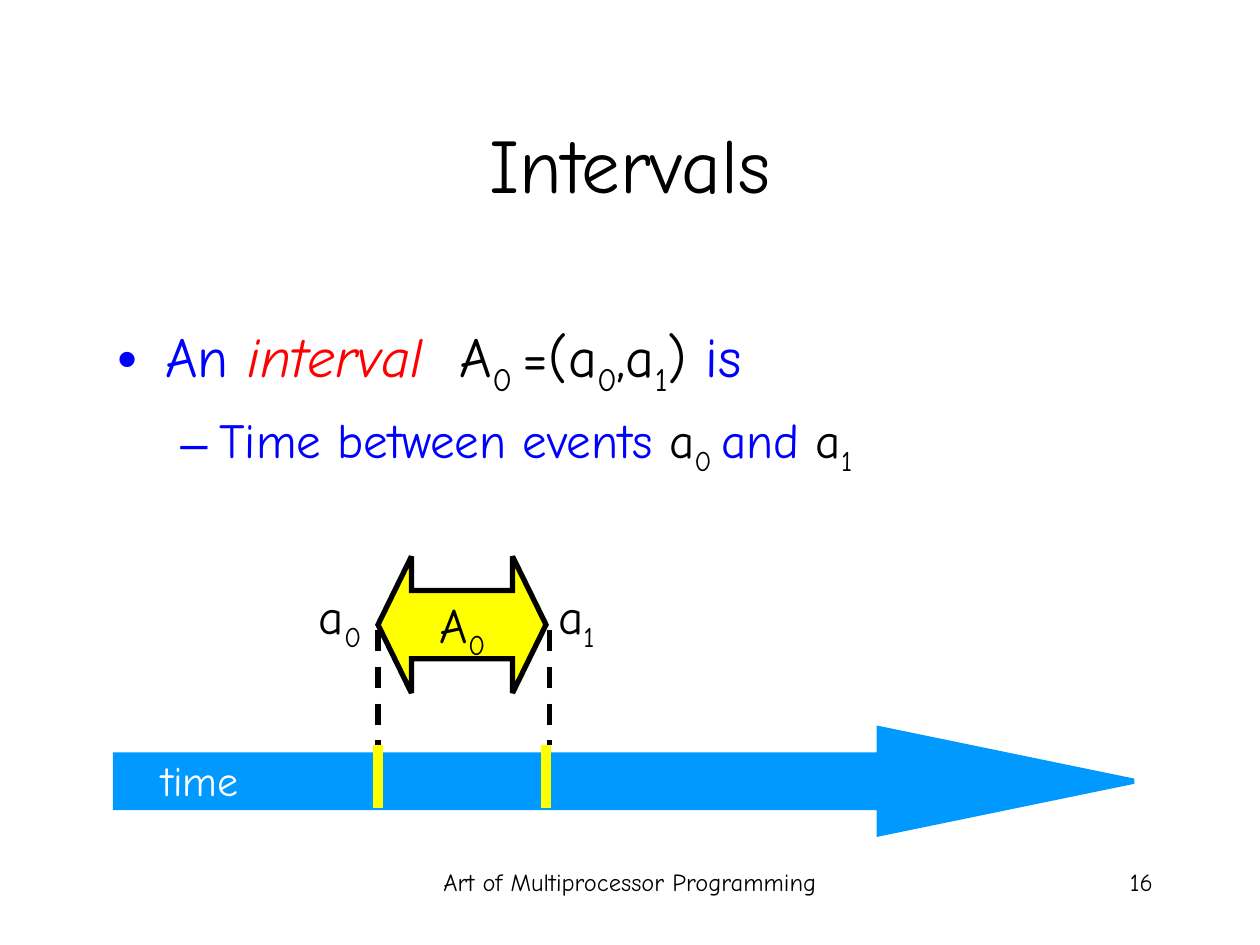
from collections import namedtuple

from lxml.etree import SubElement
from pptx import Presentation
from pptx.dml.color import RGBColor
from pptx.enum.dml import MSO_LINE
from pptx.enum.shapes import MSO_CONNECTOR as LINK, MSO_SHAPE as SHAPE
from pptx.enum.text import MSO_ANCHOR as ANCHOR, MSO_AUTO_SIZE as AUTO, PP_ALIGN as ALIGN
from pptx.oxml.ns import qn
from pptx.util import Inches, Pt

FONT = "Comic Neue"
BLACK, BLUE, RED = "000000", "0000FF", "FF0000"
YELLOW, SKY, WHITE = "FFFF00", "0099FF", "FFFFFF"
COLUMNS, ROWS = 120, 90

Box = namedtuple("Box", "left top width height")
Part = namedtuple("Part", "text color italic sub", defaults=(BLACK, False, False))


def rgb(color):
    return RGBColor.from_string(color)


def grid(*cells):
    steps = (Inches(10) / COLUMNS, Inches(7.5) / ROWS) * 2
    return [round(cell * step) for cell, step in zip(cells, steps)]


def write(paragraph, parts, size, align=ALIGN.LEFT):
    paragraph.alignment = align
    for part in parts:
        run = paragraph.add_run()
        run.text = part.text
        run.font.name, run.font.size = FONT, Pt(size)
        run.font.italic = part.italic
        run.font.color.rgb = rgb(part.color)
        if part.sub:
            run.font._element.set("baseline", "-25000")


def add_label(slide, box, parts, size, align=ALIGN.RIGHT, wrap=False):
    frame = slide.shapes.add_textbox(*grid(*box)).text_frame
    frame.word_wrap = wrap
    frame.auto_size = AUTO.NONE if wrap else AUTO.SHAPE_TO_FIT_TEXT
    write(frame.paragraphs[0], parts, size, align)


def add_arrow(slide, kind, box, adjustments, fill, line):
    arrow = slide.shapes.add_shape(kind, *grid(*box))
    arrow.shadow.inherit = False
    for index, value in enumerate(adjustments):
        arrow.adjustments[index] = value
    arrow.fill.solid()
    arrow.fill.fore_color.rgb = rgb(fill)
    arrow.line.color.rgb = rgb(line)
    arrow.line.width = Pt(3)
    outline = arrow._element.spPr.find(qn("a:ln"))
    SubElement(outline, qn("a:miter")).set("lim", "800000")


def add_vertical(slide, column, top, bottom, color, width, dash=None):
    line = slide.shapes.add_connector(LINK.STRAIGHT, *grid(column, top, column, bottom))
    line.line.color.rgb = rgb(color)
    line.line.width = Pt(width)
    if dash:
        line.line.dash_style = dash
    SubElement(line._element.spPr, qn("a:effectLst"))


def set_bullet(paragraph, char, margin, hang, before):
    paragraph.space_before = Pt(before)
    properties = paragraph._p.get_or_add_pPr()
    properties.set("marL", str(Inches(margin)))
    properties.set("indent", str(-Inches(hang)))
    color = SubElement(properties, qn("a:buClr"))
    SubElement(color, qn("a:srgbClr")).set("val", BLUE)
    SubElement(properties, qn("a:buFont")).set("typeface", "Arial")
    SubElement(properties, qn("a:buChar")).set("char", char)


def place_title(slide, box, text):
    title = slide.shapes.title
    title.left, title.top, title.width, title.height = grid(*box)
    title.text_frame.vertical_anchor = ANCHOR.MIDDLE
    write(title.text_frame.paragraphs[0], [Part(text)], 44, ALIGN.CENTER)


def place_definition(slide, box):
    frame = slide.shapes.add_textbox(*grid(*box)).text_frame
    frame.word_wrap = True
    definition = frame.paragraphs[0]
    write(definition, [
        Part("An ", BLUE), Part("interval  ", RED, italic=True),
        Part("A"), Part("0 ", sub=True), Part("=(a"), Part("0", sub=True),
        Part(",a"), Part("1", sub=True), Part(")"), Part(" is", BLUE),
    ], 32)
    set_bullet(definition, "•", 0.38, 0.38, 8)
    meaning = frame.add_paragraph()
    meaning.level = 1
    write(meaning, [
        Part("Time between events ", BLUE), Part("a"), Part("0 ", sub=True),
        Part("and ", BLUE), Part("a"), Part("1", sub=True),
    ], 28)
    set_bullet(meaning, "–", 0.81, 0.31, 7)


def place_timeline(slide, box):
    add_arrow(slide, SHAPE.RIGHT_ARROW, box, (0.5, 2.425), SKY, SKY)
    time = Box(box.left + 1.9, box.top + 1.9, 11, 6)
    add_label(slide, time, [Part("time", WHITE)], 24)


def place_interval(slide, box, axis_top):
    start, end = box.left, box.left + box.width
    for column in (start, end + 0.3):
        add_vertical(slide, column, box.top + 7, axis_top, BLACK, 3, MSO_LINE.DASH)
    add_arrow(slide, SHAPE.LEFT_RIGHT_ARROW, box, (0.5, 0.245), YELLOW, BLACK)
    for name, index, right, top in (
        ("a", "0", start - 0.4, 2.2),
        ("a", "1", end + 5.8, 2.2),
        ("A", "0", start + 11.4, 3),
    ):
        label = Box(right - 8, box.top + top, 8, 7.5)
        add_label(slide, label, [Part(name), Part(index, sub=True)], 28)
    for column in (start, end):
        add_vertical(slide, column, axis_top, axis_top + 6, YELLOW, 6)


def place_footer(slide, box, source, number):
    add_label(slide, box._replace(width=38), [Part(source)], 14, ALIGN.CENTER, wrap=True)
    page = box._replace(left=box.left + box.width - 25, width=25)
    add_label(slide, page, [Part(number)], 14, wrap=True)


def main():
    deck = Presentation()
    deck.slide_width, deck.slide_height = Inches(10), Inches(7.5)
    slide = deck.slides.add_slide(deck.slide_layouts.get_by_name("Title Only"))
    place_title(slide, Box(9, 8, 102, 15), "Intervals")
    place_definition(slide, Box(10, 30, 102, 43))
    place_timeline(slide, Box(11, 69.4, 97, 10))
    place_interval(slide, Box(36, 53, 16, 13), axis_top=71)
    place_footer(slide, Box(41, 82, 70, 6), "Art of Multiprocessor Programming", "16")
    deck.save("out.pptx")


if __name__ == "__main__":
    main()
